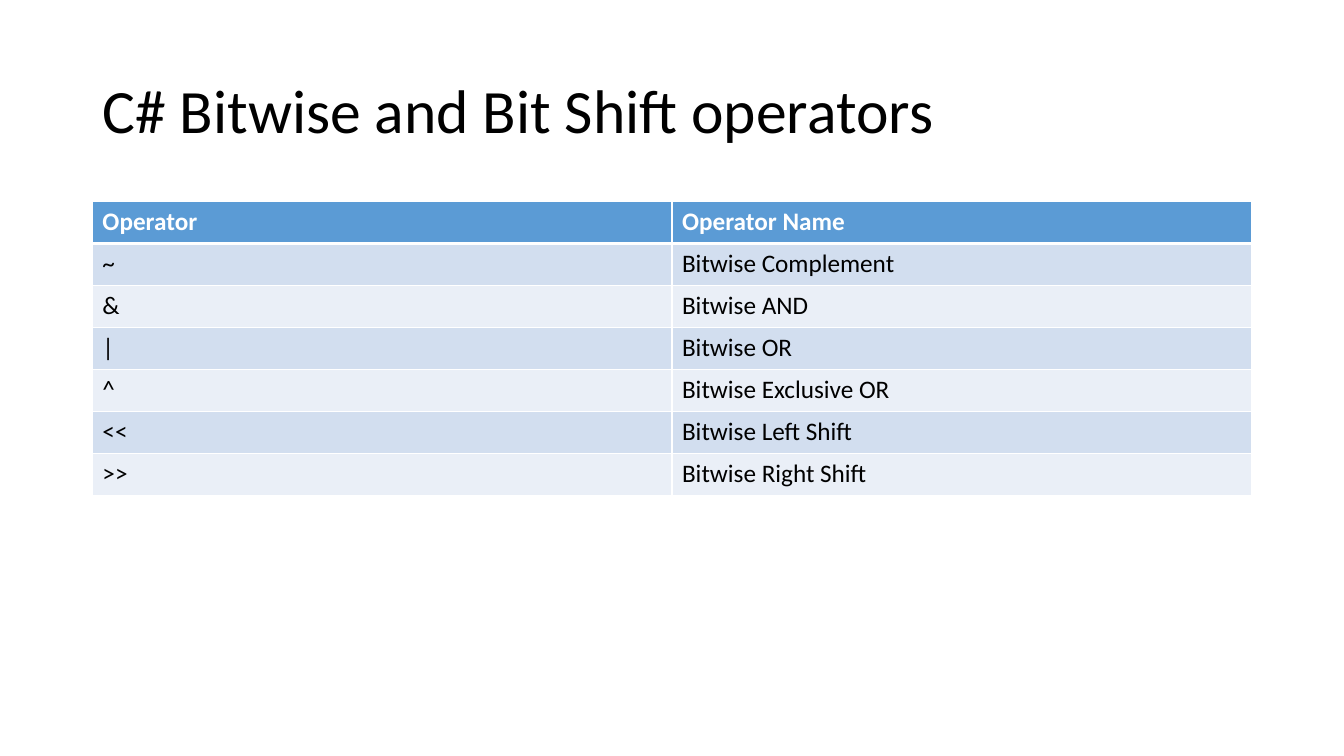
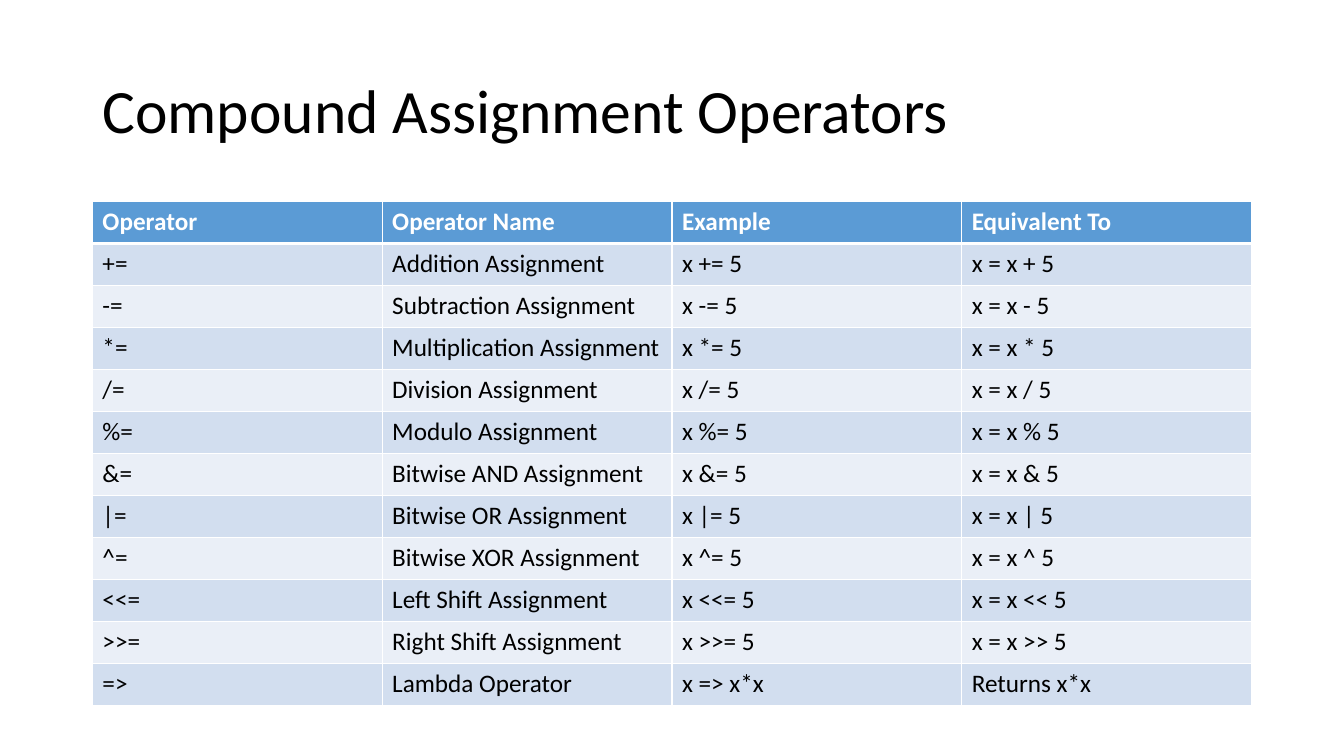
from dataclasses import dataclass

from lxml.etree import SubElement
from pptx import Presentation
from pptx.dml.color import RGBColor
from pptx.enum.text import MSO_ANCHOR, MSO_AUTO_SIZE, PP_ALIGN
from pptx.oxml.ns import qn
from pptx.util import Pt


@dataclass(frozen=True)
class Theme:
    font: str = "Calibri"
    title_size: int = 44
    table_size: int = 18
    text: str = "000000"
    header_text: str = "FFFFFF"
    header_fill: str = "5B9BD5"
    bands: tuple = ("D2DEEF", "EAEFF7")
    rule: str = "FFFFFF"
    rule_width: int = 1
    header_rule_width: int = 3


THEME = Theme()

# Layout in points
SLIDE_WIDTH, SLIDE_HEIGHT = 960, 540
MARGIN = 66
CONTENT_WIDTH = SLIDE_WIDTH - 2 * MARGIN
TITLE_TOP, TITLE_HEIGHT = 28.75, 104.4
TABLE_TOP, ROW_HEIGHT = 144, 30
TITLE_ONLY_LAYOUT = 5

# Content
BITWISE_ROWS = [
    ("Operator", "Operator Name"),
    ("~", "Bitwise Complement"),
    ("&", "Bitwise AND"),
    ("|", "Bitwise OR"),
    ("^", "Bitwise Exclusive OR"),
    ("<<", "Bitwise Left Shift"),
    (">>", "Bitwise Right Shift"),
]

ASSIGNMENTS = [
    ("+", "Addition"),
    ("-", "Subtraction"),
    ("*", "Multiplication"),
    ("/", "Division"),
    ("%", "Modulo"),
    ("&", "Bitwise AND"),
    ("|", "Bitwise OR"),
    ("^", "Bitwise XOR"),
    ("<<", "Left Shift"),
    (">>", "Right Shift"),
]

COMPOUND_ROWS = [
    ("Operator", "Operator Name", "Example", "Equivalent To"),
    *((f"{symbol}=", f"{name} Assignment", f"x {symbol}= 5", f"x = x {symbol} 5")
      for symbol, name in ASSIGNMENTS),
    ("=>", "Lambda Operator", "x => x*x", "Returns x*x"),
]


def write_text(frame, text, *, size, color=THEME.text, bold=False, line_spacing=1.0):
    """Fill a text frame with one left-aligned, formatted paragraph."""
    paragraph = frame.paragraphs[0]
    paragraph.alignment = PP_ALIGN.LEFT
    paragraph.line_spacing = line_spacing
    run = paragraph.add_run()
    run.text = text
    run.font.name = THEME.font
    run.font.size = Pt(size)
    run.font.bold = bold
    run.font.color.rgb = RGBColor.from_string(color)


def add_title(slide, text):
    title = slide.shapes.title
    title.left, title.top = Pt(MARGIN), Pt(TITLE_TOP)
    title.width, title.height = Pt(CONTENT_WIDTH), Pt(TITLE_HEIGHT)
    frame = title.text_frame
    frame.auto_size = MSO_AUTO_SIZE.NONE
    frame.vertical_anchor = MSO_ANCHOR.MIDDLE
    write_text(frame, text, size=THEME.title_size, line_spacing=0.9)


def set_borders(cell, top, bottom):
    """Draw the cell's rules; the side rules keep the normal width."""
    properties = cell._tc.get_or_add_tcPr()
    widths = {"L": THEME.rule_width, "R": THEME.rule_width, "T": top, "B": bottom}
    for side, width in widths.items():
        line = SubElement(properties, qn(f"a:ln{side}"), w=str(Pt(width)))
        fill = SubElement(line, qn("a:solidFill"))
        SubElement(fill, qn("a:srgbClr"), val=THEME.rule)


def format_cell(cell, text, row):
    is_header = row == 0
    # The thick rule lies between the header and the first body row
    set_borders(
        cell,
        top=THEME.header_rule_width if row == 1 else THEME.rule_width,
        bottom=THEME.header_rule_width if is_header else THEME.rule_width,
    )
    fill = THEME.header_fill if is_header else THEME.bands[(row - 1) % 2]
    cell.fill.solid()
    cell.fill.fore_color.rgb = RGBColor.from_string(fill)
    write_text(
        cell.text_frame,
        text,
        size=THEME.table_size,
        color=THEME.header_text if is_header else THEME.text,
        bold=is_header,
    )


def add_operator_table(slide, rows):
    column_count = len(rows[0])
    table = slide.shapes.add_table(
        len(rows), column_count,
        Pt(MARGIN), Pt(TABLE_TOP),
        Pt(CONTENT_WIDTH), Pt(ROW_HEIGHT * len(rows)),
    ).table
    for column in table.columns:
        column.width = Pt(CONTENT_WIDTH / column_count)
    for row, texts in enumerate(rows):
        table.rows[row].height = Pt(ROW_HEIGHT)
        for column, text in enumerate(texts):
            format_cell(table.cell(row, column), text, row)


def add_operator_slide(deck, title, rows):
    slide = deck.slides.add_slide(deck.slide_layouts[TITLE_ONLY_LAYOUT])
    add_title(slide, title)
    add_operator_table(slide, rows)


def main():
    deck = Presentation()
    deck.slide_width, deck.slide_height = Pt(SLIDE_WIDTH), Pt(SLIDE_HEIGHT)
    add_operator_slide(deck, "C# Bitwise and Bit Shift operators", BITWISE_ROWS)
    add_operator_slide(deck, "Compound Assignment Operators", COMPOUND_ROWS)
    deck.save("out.pptx")


if __name__ == "__main__":
    main()
